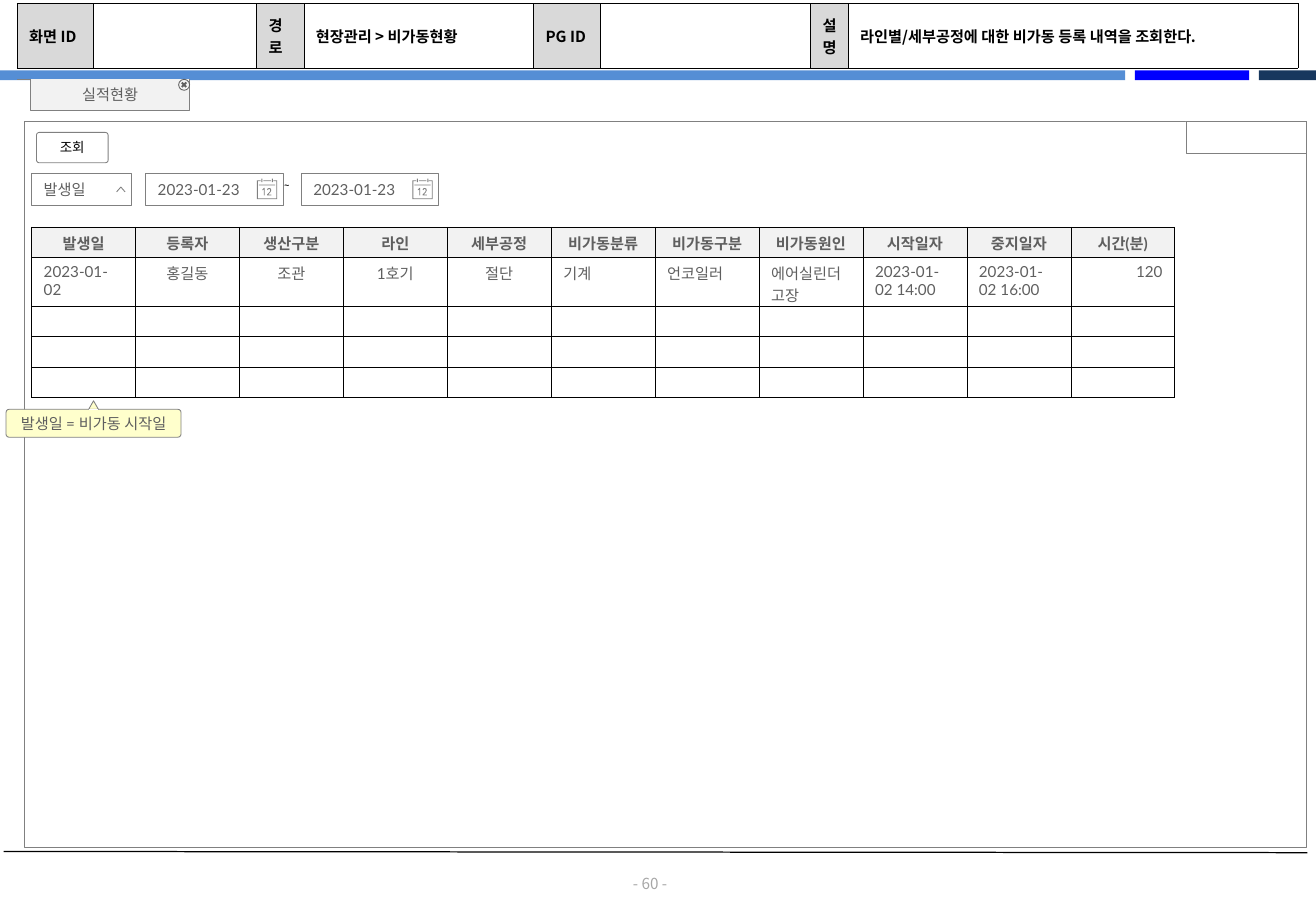
from dataclasses import dataclass, field
from typing import Any

from lxml import etree
from pptx import Presentation
from pptx.dml.color import RGBColor
from pptx.enum.shapes import MSO_CONNECTOR, MSO_SHAPE
from pptx.enum.text import MSO_ANCHOR, PP_ALIGN
from pptx.oxml.ns import qn
from pptx.util import Inches, Pt

RECT, ROUND = MSO_SHAPE.RECTANGLE, MSO_SHAPE.ROUNDED_RECTANGLE
OVAL, PEAK, CROSS = MSO_SHAPE.OVAL, MSO_SHAPE.ISOSCELES_TRIANGLE, MSO_SHAPE.MATH_MULTIPLY
LEFT, MID, RIGHT = PP_ALIGN.LEFT, PP_ALIGN.CENTER, PP_ALIGN.RIGHT
TOP, CENTER = MSO_ANCHOR.TOP, MSO_ANCHOR.MIDDLE
STRAIGHT = MSO_CONNECTOR.STRAIGHT

BLACK, WHITE = RGBColor(0, 0, 0), RGBColor(255, 255, 255)
GRAY, INK = RGBColor(0x80, 0x80, 0x80), RGBColor(0x5F, 0x5F, 0x5F)
PALE, SILVER = RGBColor(0xF2, 0xF2, 0xF2), RGBColor(0xD9, 0xD9, 0xD9)
FAINT, CREAM = RGBColor(0xA6, 0xA6, 0xA6), RGBColor(0xFF, 0xFF, 0xCC)
SKY, BLUE, NAVY = RGBColor(0x55, 0x8E, 0xD5), RGBColor(0, 0, 255), RGBColor(0x17, 0x37, 0x5E)

KOREAN = "Noto Sans CJK KR"
WIDTH, HEIGHT = Inches(10.83), Inches(7.5)
COL, ROW = WIDTH / 1083, HEIGHT / 750

Point = tuple[float, float]


@dataclass(frozen=True)
class Type:
    ink: RGBColor = INK
    font: dict[str, Any] = field(default_factory=lambda: {"size": Pt(9), "name": "Lato"})


BODY = Type()
HEAD = Type(font={"size": Pt(9), "name": "Lato", "bold": True})
TITLE = Type(BLACK, {"size": Pt(9), "name": KOREAN, "bold": True})
FOOT = Type(FAINT, {"size": Pt(9), "name": KOREAN})
PUSH = Type(BLACK, {"size": Pt(8), "name": "Arial"})
TINY = Type(BLACK, {"size": Pt(5), "name": "Arial", "bold": True})


@dataclass
class Box:
    x: float
    y: float
    w: float
    h: float
    fill: RGBColor | None = None
    line: RGBColor | None = GRAY
    kind: Any = RECT
    text: str = ""
    type: Type = BODY
    align: Any = MID
    pad: tuple[float, float, float, float] = (10, 5, 10, 5)
    frame: dict[str, Any] = field(
        default_factory=lambda: {"word_wrap": True, "vertical_anchor": CENTER})
    round: float | None = None


@dataclass
class Cell:
    text: str = ""
    fill: RGBColor = WHITE
    type: Type = BODY
    align: Any = LEFT


@dataclass
class Grid:
    x: float
    y: float
    cols: list[float]
    rows: list[float]
    cells: list[list[Cell]]
    pad: tuple[float, float, float, float]
    anchor: Any


def apply(item: Any, vals: dict[str, Any]) -> None:
    for key, val in vals.items():
        setattr(item, key, val)


def inset(item: Any, pad: tuple[float, float, float, float]) -> None:
    sides = ("margin_left", "margin_top", "margin_right", "margin_bottom")
    apply(item, {side: round(n * COL) for side, n in zip(sides, pad)})


def write(frame: Any, text: str, type: Type, align: Any) -> None:
    para = frame.paragraphs[0]
    para.alignment = align
    if not text:
        end = etree.SubElement(para._p, qn("a:endParaRPr"))
        end.set("sz", str(round(type.font["size"].pt * 100)))
        return
    run = para.add_run()
    run.text = text
    apply(run.font, type.font)
    run.font.color.rgb = type.ink
    etree.SubElement(run._r.get_or_add_rPr(), qn("a:ea")).set("typeface", KOREAN)


def paint(shape: Any, fill: RGBColor | None, line: RGBColor | None) -> None:
    shape.shadow.inherit = False
    if fill is None:
        shape.fill.background()
    else:
        shape.fill.solid()
        shape.fill.fore_color.rgb = fill
    if line is None:
        shape.line.fill.background()
    else:
        shape.line.color.rgb = line
        shape.line.width = Pt(0.5)


def label(shape: Any, box: Box) -> None:
    apply(shape.text_frame, box.frame)
    inset(shape.text_frame, box.pad)
    write(shape.text_frame, box.text, box.type, box.align)


def draw(slide: Any, box: Box) -> None:
    place = (round(box.x * COL), round(box.y * ROW), round(box.w * COL), round(box.h * ROW))
    if box.kind is None:
        shape = slide.shapes.add_textbox(*place)
    else:
        shape = slide.shapes.add_shape(box.kind, *place)
        paint(shape, box.fill, box.line)
    if box.round is not None:
        shape.adjustments[0] = box.round
    if box.text:
        label(shape, box)


def link(slide: Any, x: float, y: float, to_x: float, to_y: float,
         ink: RGBColor, width: float = 0.5) -> None:
    line = slide.shapes.add_connector(
        STRAIGHT, round(x * COL), round(y * ROW), round(to_x * COL), round(to_y * ROW))
    line.line.color.rgb = ink
    line.line.width = Pt(width)
    etree.SubElement(line._element.spPr, qn("a:effectLst"))


def trace(slide: Any, paths: list[list[Point]], x: float = 0, y: float = 0,
          shut: bool = False) -> Any:
    paths = [[((x + a) * COL, (y + b) * ROW) for a, b in path] for path in paths]
    pen = slide.shapes.build_freeform(*paths[0][0])
    for path in paths:
        pen.move_to(*path[0])
        pen.add_line_segments(path[1:], close=shut)
    return pen.convert_to_shape()


def bar(x: float, y: float, w: float, h: float) -> list[Point]:
    return [(x, y), (x + w, y), (x + w, y + h), (x, y + h)]


def tabulate(slide: Any, grid: Grid) -> None:
    table = slide.shapes.add_table(
        len(grid.rows), len(grid.cols), round(grid.x * COL), round(grid.y * ROW),
        round(sum(grid.cols) * COL), round(sum(grid.rows) * ROW)).table
    apply(table, {"first_row": False, "horz_banding": False})
    for col, w in zip(table.columns, grid.cols):
        col.width = round(w * COL)
    for row, h, data in zip(table.rows, grid.rows, grid.cells):
        row.height = round(h * ROW)
        for cell, item in zip(row.cells, data):
            inset(cell, grid.pad)
            cell.vertical_anchor = grid.anchor
            props = cell._tc.get_or_add_tcPr()
            for side in ("a:lnL", "a:lnR", "a:lnT", "a:lnB"):
                edge = etree.SubElement(props, qn(side), w=str(Pt(0.25)))
                fill = etree.SubElement(edge, qn("a:solidFill"))
                etree.SubElement(fill, qn("a:srgbClr"), val=str(BLACK))
            cell.fill.solid()
            cell.fill.fore_color.rgb = item.fill
            write(cell.text_frame, item.text, item.type, item.align)


DATE = [
    bar(3.7, 0, 0.8, 3), bar(12.3, 0, 0.8, 3), bar(5.2, 1.5, 6.3, 0.7), bar(1.6, 5, 13.4, 0.7),
    [(0, 1.5), (0, 17), (16.6, 17), (16.6, 1.5), (13.6, 1.5), (13.6, 2.2), (15.9, 2.2),
     (15.9, 16.3), (0.7, 16.3), (0.7, 2.2), (3, 2.2), (3, 1.5)],
    [(4.5, 9), (5.8, 7.8), (6.4, 7.8), (6.4, 14), (5.7, 14), (5.7, 8.9), (4.5, 9.7)],
    [(8.4, 9.3), (8.8, 8.2), (10, 7.8), (11.3, 8.3), (11.8, 9.6), (11, 11.3), (9.3, 13.2),
     (11.9, 13.2), (11.9, 14), (8.4, 14), (8.4, 13.2), (10.6, 10.9), (11, 9.6), (10.4, 8.6),
     (9.5, 8.7), (8.9, 9.6)],
]
BANDS = [Box(0, 58, 926, 8, SKY, None), Box(934, 58, 94, 8, BLUE, None),
         Box(1036, 58, 47, 8, NAVY, None)]
PAGE = Box(505, 720, 60, 15, kind=None, text="- 60 -", type=FOOT, pad=(0, 0, 0, 0))
PANEL = Box(20, 100, 1055, 598)
TAB = Box(25, 65, 131, 26, text="실적현황", pad=(5, 5, 5, 5))
CLOSE = [Box(147, 65.3, 9, 9, None, INK, OVAL), Box(148, 66.3, 7, 7, INK, None, CROSS)]
PICK = Box(26, 143, 82, 26, WHITE, text="발생일", align=LEFT, pad=(10, 6, 28, 6))
DAYS = [Box(x, 143, 113, 26, WHITE, text="2023-01-23", align=LEFT, pad=(10, 6, 25, 6))
        for x in (120, 248)]
EXTRA = [
    Box(233, 143, 11, 19, kind=None, text="~", type=TINY, align=LEFT, pad=(1, 5, 0, 5),
        frame={"word_wrap": False, "vertical_anchor": TOP}),
    Box(30, 109, 59, 25, kind=ROUND, text="조회", type=PUSH, round=0.09),
    Box(976, 100, 99, 26, WHITE),
]
NOTE = [
    Box(5, 337, 144, 23, CREAM, kind=ROUND, text="발생일 = 비가동 시작일", pad=(5, 3, 5, 3),
        frame={"word_wrap": False, "vertical_anchor": TOP}, round=0.11),
    Box(73, 330, 8, 7, CREAM, kind=PEAK),
]

TOPICS = ["화면 ID", "", "경로", "현장관리 > 비가동현황", "PG ID", "", "설명",
          "라인별/세부공정에 대한 비가동 등록 내역을 조회한다."]
BANNER = Grid(14, 3, [63, 134, 39, 189, 55, 173, 31, 370], [53],
              [[Cell(t, WHITE if i % 2 else SILVER, TITLE) for i, t in enumerate(TOPICS)]],
              (10, 5, 10, 5), CENTER)
NAMES = ["발생일", "등록자", "생산구분", "라인", "세부공정", "비가동분류", "비가동구분",
         "비가동원인", "시작일자", "중지일자", "시간(분)"]
FACTS = ["2023-01-02", "홍길동", "조관", "1호기", "절단", "기계", "언코일러",
         "에어실린더고장", "2023-01-02 14:00", "2023-01-02 16:00", "120"]
SIDES = [LEFT] + [MID] * 4 + [LEFT] * 5 + [RIGHT]
STOPS = Grid(26, 187, [941 / 11] * 11, [25, 40, 25, 25, 25],
             [[Cell(t, PALE, HEAD, MID) for t in NAMES],
              [Cell(t, align=side) for t, side in zip(FACTS, SIDES)],
              *[[Cell() for _ in NAMES] for _ in range(3)]],
             (10, 4, 10, 0), TOP)


def main() -> None:
    deck = Presentation()
    apply(deck, {"slide_width": WIDTH, "slide_height": HEIGHT})
    slide = deck.slides.add_slide(deck.slide_layouts[6])
    for box in BANDS:
        draw(slide, box)
    link(slide, 3, 701, 1076, 702, BLACK, 0.75)
    for box in (PAGE, PANEL):
        draw(slide, box)
    tabulate(slide, BANNER)
    link(slide, 25, 65, 14, 65, GRAY)
    tab = trace(slide, [[(131, 0), (131, 26), (0, 26), (0, 0)]], TAB.x, TAB.y)
    paint(tab, PALE, GRAY)
    label(tab, TAB)
    for box in (*CLOSE, PICK):
        draw(slide, box)
    paint(trace(slide, [[(0, 4), (3.5, 0), (7, 4)]], 96, 154), None, GRAY)
    for box in DAYS:
        draw(slide, box)
        paint(trace(slide, DATE, box.x + 91.5, 147, True), GRAY, None)
    for box in EXTRA:
        draw(slide, box)
    tabulate(slide, STOPS)
    for box in NOTE:
        draw(slide, box)
    link(slide, 81, 337, 73, 337, WHITE)
    deck.save("out.pptx")


if __name__ == "__main__":
    main()
